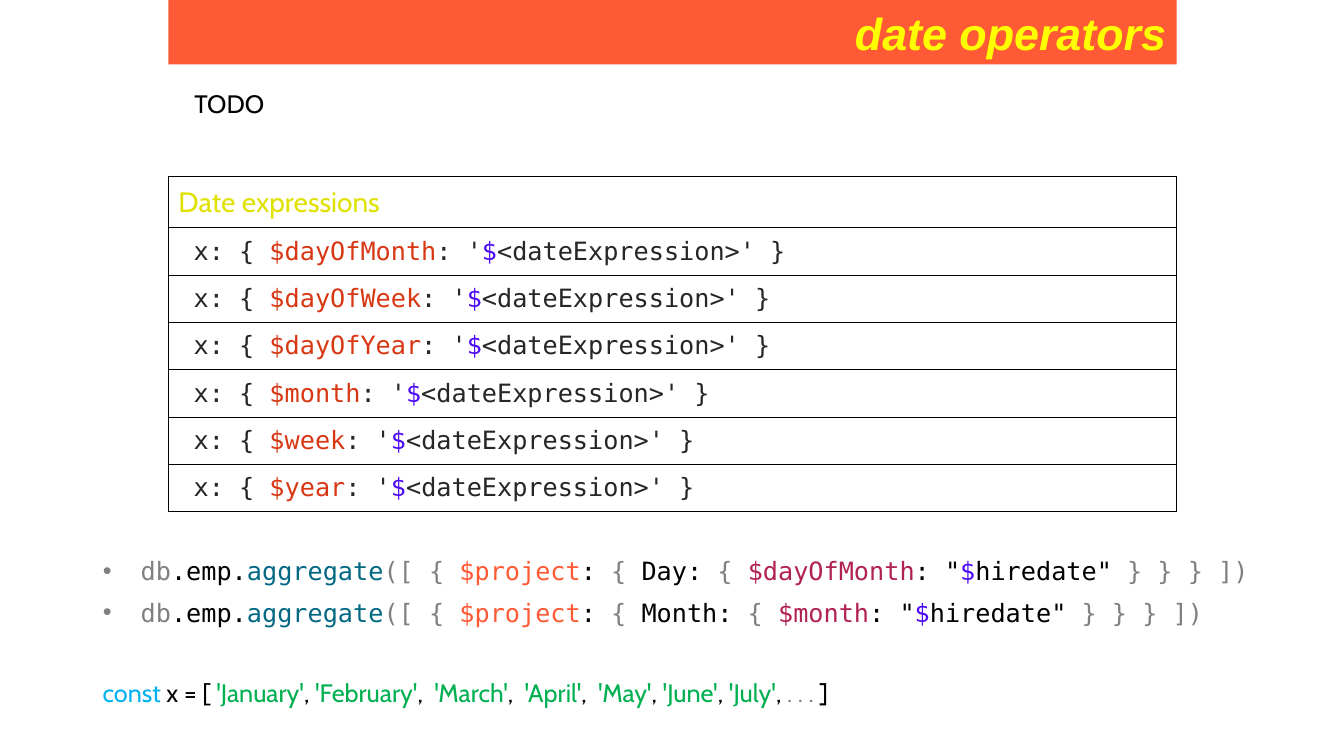
from lxml import etree
from pptx import Presentation
from pptx.dml.color import RGBColor
from pptx.enum.text import MSO_ANCHOR, MSO_AUTO_SIZE, PP_ALIGN
from pptx.oxml.ns import qn
from pptx.util import Inches, Pt

RIGHT = PP_ALIGN.RIGHT
TOP, MIDDLE = MSO_ANCHOR.TOP, MSO_ANCHOR.MIDDLE
NO_FIT = MSO_AUTO_SIZE.NONE
TITLE_AND_CONTENT = 1

SANS = "Cabin"
MONO = "DejaVu Sans Mono"
COLOURS = {
    "black": "000000",
    "code": "262626",
    "grey": "808080",
    "orange": "FF5A36",
    "yellow": "FFFF00",
    "lime": "DFE100",
    "operator": "D83713",
    "dollar": "4D0AF4",
    "method": "036883",
    "accumulator": "B22251",
    "keyword": "00B0F0",
    "string": "00B050",
}

DATE_OPERATORS = ["$dayOfMonth", "$dayOfWeek", "$dayOfYear", "$month", "$week", "$year"]
QUERIES = [("Day", "$dayOfMonth"), ("Month", "$month")]
MONTHS = [" 'February'", "  'March'", "  'April'", "  'May'", " 'June'", " 'July'"]


def colour(name):
    return RGBColor.from_string(COLOURS[name])


def add_spans(para, spans, font=SANS, size=18):
    """Add (text, colour name) pairs as runs."""
    for text, name in spans:
        span = para.add_run()
        span.text = text
        span.font.name = font
        span.font.size = Pt(size)
        span.font.color.rgb = colour(name)


def place(shape, left, top, width, height):
    shape.left, shape.top = Inches(left), Inches(top)
    shape.width, shape.height = Inches(width), Inches(height)


def set_title(title, text):
    place(title, 1.67, 0, 10, 0.64)
    title.fill.solid()
    title.fill.fore_color.rgb = colour("orange")
    frame = title.text_frame
    frame.auto_size = NO_FIT
    frame.vertical_anchor = MIDDLE
    para = frame.paragraphs[0]
    para.alignment = RIGHT
    add_spans(para, [(text, "yellow")], "Arial", 32)
    para.runs[0].font.bold = True
    para.runs[0].font.italic = True


def add_text_line(page, left, top, width, spans):
    box = page.shapes.add_textbox(Inches(left), Inches(top), Inches(width), Inches(0.4))
    box.text_frame.word_wrap = True
    add_spans(box.text_frame.paragraphs[0], spans)


def set_borders(cell):
    properties = cell._tc.get_or_add_tcPr()
    for side in ("a:lnL", "a:lnR", "a:lnT", "a:lnB"):
        line = etree.SubElement(properties, qn(side), w=str(Pt(1)))
        fill = etree.SubElement(line, qn("a:solidFill"))
        etree.SubElement(fill, qn("a:srgbClr"), val=COLOURS["black"])


def format_cell(cell, spans, font, size, indent):
    set_borders(cell)
    cell.fill.background()
    cell.vertical_anchor = MIDDLE
    cell.margin_left = Inches(indent)
    add_spans(cell.text_frame.paragraphs[0], spans, font, size)


def add_operator_table(page):
    frame = page.shapes.add_table(
        len(DATE_OPERATORS) + 1, 1, Inches(1.67), Inches(1.75), Inches(10), Inches(3.33)
    )
    table = frame.table
    table.first_row = False
    table.horz_banding = False
    table.rows[0].height = Inches(0.51)
    format_cell(table.cell(0, 0), [("Date expressions", "lime")], SANS, 20, 0.1)
    for row, operator in enumerate(DATE_OPERATORS, start=1):
        table.rows[row].height = Inches(0.47)
        spans = [
            ("x: { ", "code"),
            (operator, "operator"),
            (": '", "code"),
            ("$", "dollar"),
            ("<dateExpression>' }", "code"),
        ]
        format_cell(table.cell(row, 0), spans, MONO, 18, 0.25)


def query_spans(field, operator):
    return [
        ("db", "grey"),
        (".emp.", "black"),
        ("aggregate", "method"),
        ("([ { ", "grey"),
        ("$project", "orange"),
        (": ", "black"),
        ("{", "grey"),
        (f" {field}: ", "black"),
        ("{ ", "grey"),
        (operator, "accumulator"),
        (': "', "black"),
        ("$", "dollar"),
        ('hiredate" ', "black"),
        ("} } } ])", "grey"),
    ]


def set_queries(body):
    place(body, 0.92, 5.46, 11.65, 0.81)
    frame = body.text_frame
    frame.auto_size = NO_FIT
    frame.vertical_anchor = TOP
    for index, (field, operator) in enumerate(QUERIES):
        para = frame.add_paragraph() if index else frame.paragraphs[0]
        para.space_before = Pt(8 if index else 0)
        add_spans(para, query_spans(field, operator), MONO)


def month_array_spans():
    spans = [("const", "keyword"), (" x = [ ", "black"), ("'January'", "string")]
    for month in MONTHS:
        spans += [(",", "black"), (month, "string")]
    return spans + [(", ", "black"), (". . . ", "grey"), ("]", "black")]


def main():
    deck = Presentation()
    deck.slide_width, deck.slide_height = Inches(13.33), Inches(7.5)
    page = deck.slides.add_slide(deck.slide_layouts[TITLE_AND_CONTENT])
    set_title(page.shapes.title, "date operators")
    add_text_line(page, 1.83, 0.83, 9.67, [("TODO", "black")])
    add_operator_table(page)
    set_queries(page.placeholders[1])
    add_text_line(page, 0.92, 6.67, 7.44, month_array_spans())
    deck.save("out.pptx")


if __name__ == "__main__":
    main()
